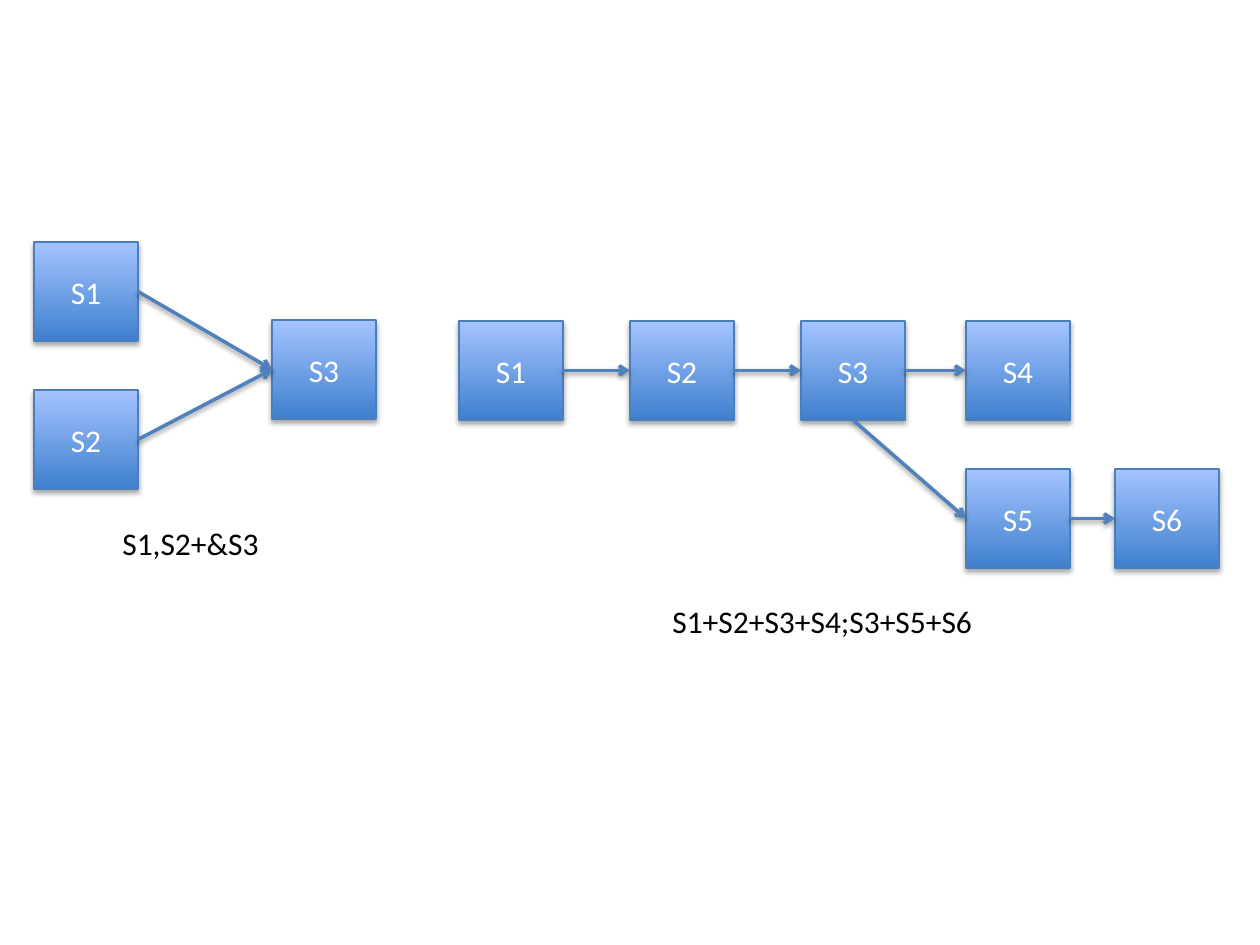
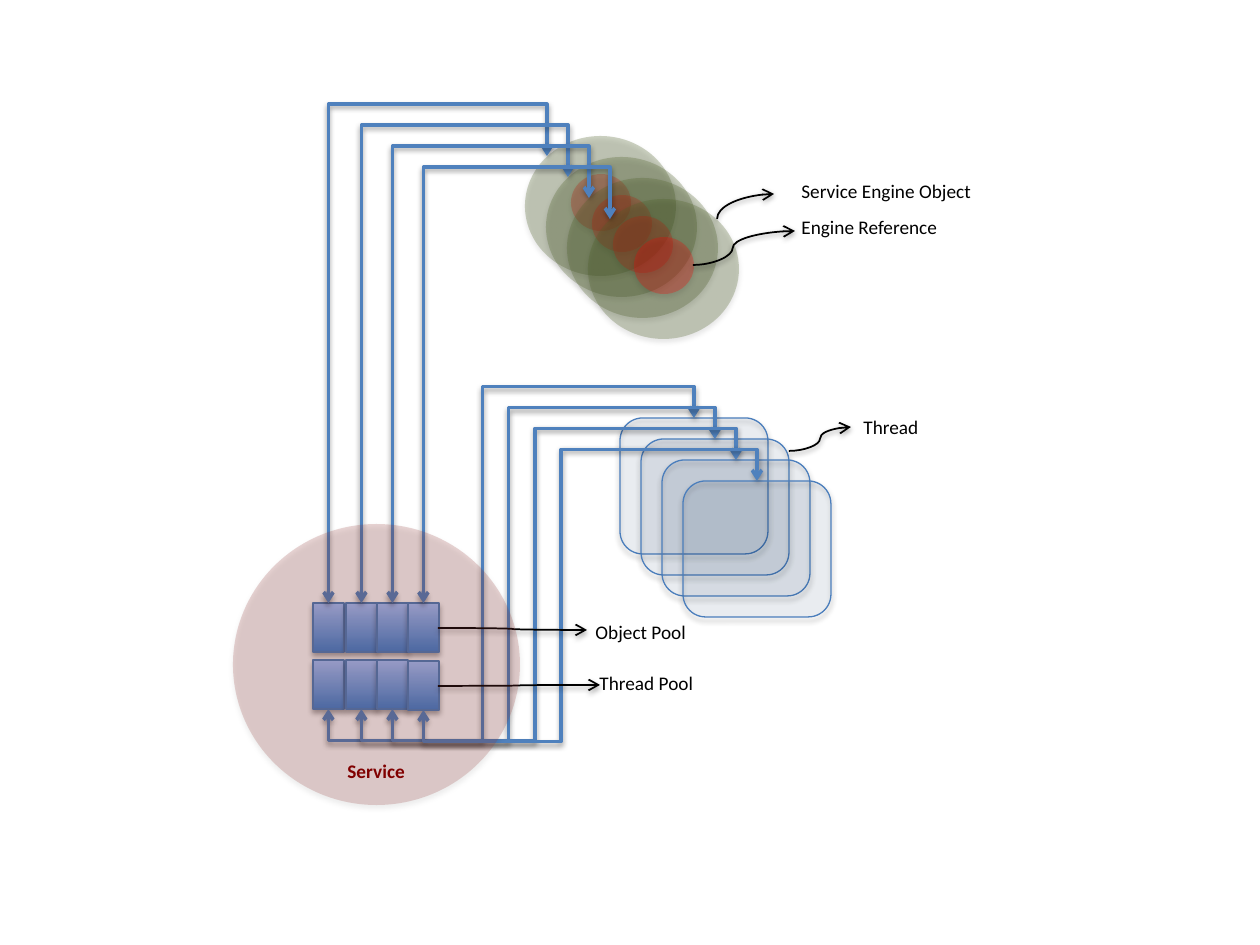
from dataclasses import dataclass
from typing import Optional

from lxml import etree
from pptx import Presentation
from pptx.dml.color import RGBColor
from pptx.enum.shapes import MSO_CONNECTOR, MSO_SHAPE
from pptx.enum.text import MSO_ANCHOR, MSO_AUTO_SIZE, PP_ALIGN
from pptx.oxml.ns import qn
from pptx.util import Emu, Pt

EMU_PER_PX = 914400 / 126
RECT, ROUND_RECT, OVAL = MSO_SHAPE.RECTANGLE, MSO_SHAPE.ROUNDED_RECTANGLE, MSO_SHAPE.OVAL
STRAIGHT, ELBOW, CURVE = MSO_CONNECTOR.STRAIGHT, MSO_CONNECTOR.ELBOW, MSO_CONNECTOR.CURVE
LEFT, CENTER, MIDDLE = PP_ALIGN.LEFT, PP_ALIGN.CENTER, MSO_ANCHOR.MIDDLE
FIT_TEXT = MSO_AUTO_SIZE.SHAPE_TO_FIT_TEXT

FONT = "Calibri"
BLACK = RGBColor(0x00, 0x00, 0x00)
WHITE = RGBColor(0xFF, 0xFF, 0xFF)
BLUE_BOTTOM = RGBColor(0x3F, 0x80, 0xCE)
BLUE_TOP = RGBColor(0xA4, 0xC4, 0xFF)
OUTLINE = RGBColor(0x4B, 0x7E, 0xBC)
ARROW_BLUE = RGBColor(0x4F, 0x81, 0xBD)
ENGINE_GREEN = RGBColor(0x4F, 0x62, 0x28)
REFERENCE_RED = RGBColor(0xFF, 0x00, 0x00)
THREAD_NAVY = RGBColor(0x1F, 0x49, 0x7D)
SERVICE_RED = RGBColor(0x95, 0x37, 0x35)
MAROON = RGBColor(0x80, 0x00, 0x00)


@dataclass(frozen=True)
class Box:
    x: float
    y: float
    w: float
    h: float
    text: str = ""

    @property
    def top(self) -> tuple:
        return self.x + self.w / 2, self.y

    @property
    def bottom(self) -> tuple:
        return self.x + self.w / 2, self.y + self.h

    @property
    def left(self) -> tuple:
        return self.x, self.y + self.h / 2

    @property
    def right(self) -> tuple:
        return self.x + self.w, self.y + self.h / 2

    def shifted(self, d: int) -> "Box":
        return Box(self.x + d, self.y + d, self.w, self.h)


@dataclass(frozen=True)
class Curve:
    start: tuple
    end: tuple
    bend: float = 0.5


def px(n: float) -> Emu:
    return Emu(round(n * EMU_PER_PX))


def frame(b: Box) -> tuple:
    return px(b.x), px(b.y), px(b.w), px(b.h)


def add_shadow(effects, opacity: int, distance: float) -> None:
    shadow = etree.SubElement(effects, qn("a:outerShdw"), blurRad=str(Pt(3.1)),
                              dist=str(Pt(distance)), dir="5400000", rotWithShape="0")
    color = etree.SubElement(shadow, qn("a:srgbClr"), val=str(BLACK))
    etree.SubElement(color, qn("a:alpha"), val=str(opacity * 1000))


def write(tf, text: str, *, size: float, color: RGBColor = BLACK,
          bold: bool = False, align=LEFT) -> None:
    p = tf.paragraphs[0]
    p.alignment = align
    r = p.add_run()
    r.text = text
    r.font.name, r.font.size, r.font.bold = FONT, Pt(size), bold
    r.font.color.rgb = color


def add_label(s, b: Box, **style) -> None:
    tf = s.shapes.add_textbox(*frame(b)).text_frame
    tf.word_wrap = False
    tf.auto_size = FIT_TEXT
    write(tf, b.text, **style)


def add_block(s, b: Box, kind=RECT, color: Optional[RGBColor] = None,
              opacity: int = 100, outlined: bool = True) -> None:
    sp = s.shapes.add_shape(kind, *frame(b))
    if color is None:
        sp.fill.gradient()
        sp.fill.gradient_angle = 90
        for stop, position, shade in zip(sp.fill.gradient_stops, (0, 1), (BLUE_BOTTOM, BLUE_TOP)):
            stop.position = position
            stop.color.rgb = shade
    else:
        sp.fill.solid()
        sp.fill.fore_color.rgb = color
        solid = sp._element.spPr.find(qn("a:solidFill"))
        etree.SubElement(solid[0], qn("a:alpha"), val=str(opacity * 1000))
    if outlined:
        sp.line.color.rgb = OUTLINE
        sp.line.width = Pt(0.75)
    else:
        sp.line.fill.background()
    sp.shadow.inherit = False
    add_shadow(sp._element.spPr.find(qn("a:effectLst")), 35, 1.8)
    if b.text:
        sp.text_frame.vertical_anchor = MIDDLE
        write(sp.text_frame, b.text, size=18, color=WHITE, align=CENTER)


def add_arrow(s, start: tuple, end: tuple, kind=STRAIGHT, *, color: RGBColor = ARROW_BLUE,
              width: float = 2, preset: str = "", bends: tuple = (),
              turn: int = 0, both_ends: bool = False) -> None:
    cxn = s.shapes.add_connector(kind, *map(px, start + end))
    spPr = cxn._element.spPr
    if turn:
        w, h = abs(end[1] - start[1]), abs(end[0] - start[0])
        cx, cy = (start[0] + end[0]) / 2, (start[1] + end[1]) / 2
        cxn.left, cxn.top, cxn.width, cxn.height = frame(Box(cx - w / 2, cy - h / 2, w, h))
        xfrm = spPr.find(qn("a:xfrm"))
        for name, value in (("rot", turn * 60000), ("flipH", 1), ("flipV", 1)):
            xfrm.set(name, str(value))
    geometry = spPr.find(qn("a:prstGeom"))
    if preset:
        geometry.set("prst", preset)
    guides = geometry.find(qn("a:avLst"))
    for i, bend in enumerate(bends, 1):
        etree.SubElement(guides, qn("a:gd"), name=f"adj{i}", fmla=f"val {round(bend * 100000)}")
    cxn.line.color.rgb = color
    cxn.line.width = Pt(width)
    ln = spPr.find(qn("a:ln"))
    for tag in ("a:headEnd", "a:tailEnd") if both_ends else ("a:tailEnd",):
        etree.SubElement(ln, qn(tag), type="arrow")
    add_shadow(etree.SubElement(spPr, qn("a:effectLst")), 38, 1.6)


def build_flows(s) -> None:
    def step(x: int, y: int, text: str) -> Box:
        return Box(x, y, 104, 99, text)

    first, second, joined = step(34, 242, "S1"), step(34, 390, "S2"), step(272, 320, "S3")
    chain = [step(x, 321, f"S{i}") for i, x in enumerate((459, 630, 801, 966), 1)]
    branch = [step(966, 469, "S5"), step(1115, 469, "S6")]
    for b in (first, second, joined, *chain, *branch):
        add_block(s, b)
    pairs = [(first, joined), (second, joined), *zip(chain, chain[1:]), tuple(branch)]
    for a, b in pairs:
        add_arrow(s, a.right, b.left)
    add_arrow(s, chain[2].bottom, branch[0].left)
    add_label(s, Box(110, 518, 162, 50, "S1,S2+&S3"), size=18)
    add_label(s, Box(660, 596, 329, 50, "S1+S2+S3+S4;S3+S5+S6"), size=18)


def build_pools(s) -> None:
    step = 21
    columns = (313, 346, 377, 408)
    object_cells = [Box(x, 603, 31, 49) for x in columns]
    thread_cells = [Box(x, y, 31, 49) for x, y in zip(columns, (660, 660, 660, 661))]
    engine, reference = Box(525, 136, 151, 140), Box(571, 174, 60, 57)
    thread = Box(620, 418, 148, 136)

    for cell in object_cells + thread_cells:
        add_block(s, cell)
    for i in range(len(columns)):
        add_block(s, engine.shifted(i * step), OVAL, ENGINE_GREEN, 28, False)
        add_block(s, reference.shifted(i * step), OVAL, REFERENCE_RED, 27, False)
    for i, cell in enumerate(object_cells):
        start = (547 + i * step, 156 + i * step)
        rise = 52 / (cell.y - start[1])
        add_arrow(s, start, cell.top, ELBOW, bends=(-rise,), turn=270, both_ends=True)

    threads = [thread.shifted(i * step) for i in range(len(columns))]
    for b in threads:
        add_block(s, b, ROUND_RECT, THREAD_NAVY, 7)
    for i, (b, cell) in enumerate(zip(threads, thread_cells)):
        start, end = b.top, cell.bottom
        rise = 31.5 / (end[1] - start[1])
        across = (start[0] - (482.5 + 26.2 * i)) / (start[0] - end[0])
        add_arrow(s, start, end, ELBOW, preset="bentConnector5",
                  bends=(-rise, across, 1 + rise), turn=270, both_ends=True)

    add_arrow(s, (717, 219), (774, 194), CURVE, color=BLACK, width=1,
              preset="curvedConnector2", turn=90)
    for c in (Curve((693, 265), (795, 231), 0.39), Curve((438, 628), (587, 630)),
              Curve((438, 686), (600, 685)), Curve((789, 451), (851, 427))):
        add_arrow(s, c.start, c.end, CURVE, color=BLACK, width=1, bends=(c.bend,))

    add_block(s, Box(233, 524, 287, 281), OVAL, SERVICE_RED, 21, False)
    for b in (Box(789, 173, 200, 37, "Service Engine Object"),
              Box(789, 209, 164, 37, "Engine Reference"),
              Box(851, 409, 81, 37, "Thread "),
              Box(583, 614, 117, 37, "Object Pool"),
              Box(587, 665, 121, 37, "Thread Pool")):
        add_label(s, b, size=11)
    add_label(s, Box(335, 753, 83, 37, "Service"), size=11, color=MAROON, bold=True)


prs = Presentation()
prs.slide_width, prs.slide_height = px(1260), px(945)
blank = prs.slide_layouts[6]
for build in (build_flows, build_pools):
    build(prs.slides.add_slide(blank))
prs.save("out.pptx")
